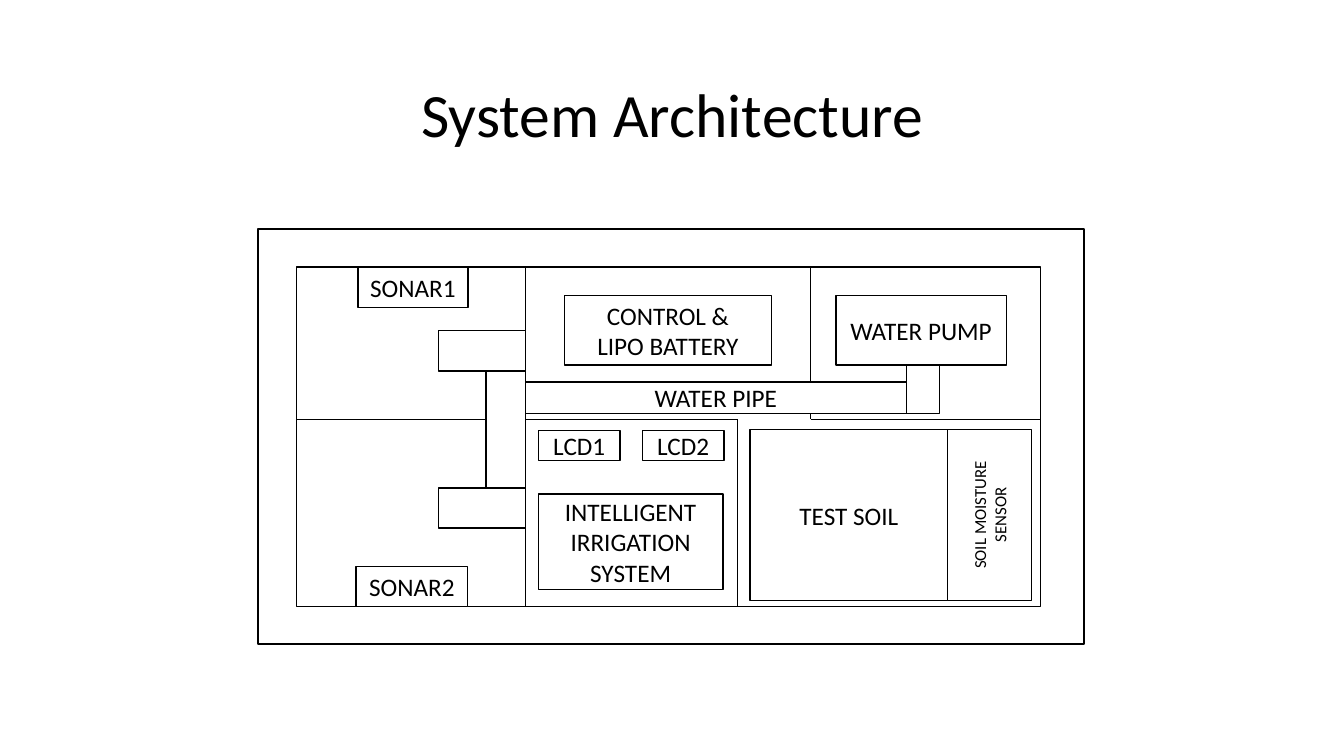
import pptx
import pptx.util
import pptx.dml.color
import pptx.enum.shapes
import pptx.enum.text
import pptx.oxml.ns
import lxml.etree

COLORS = {"paper": "FFFFFF", "ink": "000000"}
GRID = pptx.util.Inches(1)


def rgb(name):
    return pptx.dml.color.RGBColor.from_string(COLORS[name])


def write(part, text, size=18, spacing=1.0, vert=None):
    frame = part.text_frame
    frame.word_wrap = True
    frame.vertical_anchor = pptx.enum.text.MSO_ANCHOR.MIDDLE
    frame.text = text
    if vert:
        frame._txBody.bodyPr.set("vert", vert)
    for paragraph in frame.paragraphs:
        paragraph.alignment = pptx.enum.text.PP_ALIGN.CENTER
        paragraph.line_spacing = spacing
        paragraph.font.size = pptx.util.Pt(size)
        paragraph.font.name = "Calibri"
        paragraph.font.color.rgb = rgb("ink")


deck = pptx.Presentation()
deck.slide_width = round(13.33 * GRID)
deck.slide_height = round(7.5 * GRID)
slide = deck.slides.add_slide(deck.slide_layouts[5])

heading = slide.shapes.title
heading.left, heading.top, heading.width, heading.height = (
    round(share * GRID) for share in (0.92, 0.78, 11.5, 0.77))
write(heading, "System Architecture", size=44, spacing=0.9)

west, hall, lobby, pump_wall, east = 2.94, 5.21, 7.31, 8.04, 10.32
north, middle, south = 2.65, 4.16, 6.02
sonar_height = 0.4
lcd_left, lcd_top, lcd_step = 5.34, 4.27, 1.03
soil_left, sensor_left, soil_top, soil_height = 7.44, 9.4, 4.26, 1.7
pipe_top, pipe_bottom, pipe_end = 3.79, 4.1, 8.99
unit_top, unit_height = 2.93, 0.69
duct_left, duct_width, duct_height = 4.35, 0.86, 0.4
duct_tops = (3.28, 4.84)
duct_floor = duct_tops[0] + duct_height

outlines = [
    (2.56, 2.27, 8.19, 4.12),
    (west, north, east - west, south - north),
]
walls = [
    (hall, north, hall, south),
    (west, middle, lobby, middle),
    (lobby, middle, lobby, south),
    (pump_wall, north, pump_wall, middle),
    (pump_wall, middle, east, middle),
]
ducts = [
    (pipe_end, 3.28, 0.33, pipe_bottom - 3.28),
    (4.82, duct_floor, 0.39, duct_tops[1] - duct_floor),
    *[(duct_left, top, duct_width, duct_height) for top in duct_tops],
]
components = [
    ("WATER PIPE", hall, pipe_top, pipe_end - hall, pipe_bottom - pipe_top),
    ("CONTROL &\nLIPO BATTERY", 5.6, unit_top, 2.05, unit_height),
    ("WATER PUMP", 8.29, unit_top, 1.69, unit_height),
    ("LCD1", lcd_left, lcd_top, 0.81, 0.3),
    ("LCD2", lcd_left + lcd_step, lcd_top, 0.81, 0.3),
    ("SONAR1", 3.55, north, 1.09, sonar_height),
    ("SONAR2", 3.53, south - sonar_height, 1.11, sonar_height),
    ("TEST SOIL", soil_left, soil_top, sensor_left - soil_left, soil_height),
    ("INTELLIGENT IRRIGATION SYSTEM", lcd_left, 4.9, 1.83, 0.95),
    ("SOIL MOISTURE SENSOR", sensor_left, soil_top, 0.83, soil_height),
]
formats = {"SOIL MOISTURE SENSOR": {"size": 12, "vert": "vert270"}}

blank_boxes = [("", *place) for place in outlines]
fitted_boxes = [("", *place) for place in ducts] + components

for stage in (blank_boxes, walls, fitted_boxes):
    for item in stage:
        if stage is walls:
            wall = slide.shapes.add_connector(
                pptx.enum.shapes.MSO_CONNECTOR.STRAIGHT,
                *(round(edge * GRID) for edge in item))
            wall.line.color.rgb = rgb("ink")
            wall.line.width = pptx.util.Pt(0.5)
            lxml.etree.SubElement(
                wall._element.spPr, pptx.oxml.ns.qn("a:effectLst"))
            continue
        label, *place = item
        component = slide.shapes.add_shape(
            pptx.enum.shapes.MSO_SHAPE.RECTANGLE,
            *(round(length * GRID) for length in place))
        component.shadow.inherit = False
        component.fill.solid()
        component.fill.fore_color.rgb = rgb("paper")
        component.line.color.rgb = rgb("ink")
        component.line.width = pptx.util.Pt(1)
        if label:
            write(component, label, **formats.get(label, {}))

deck.save("out.pptx")
